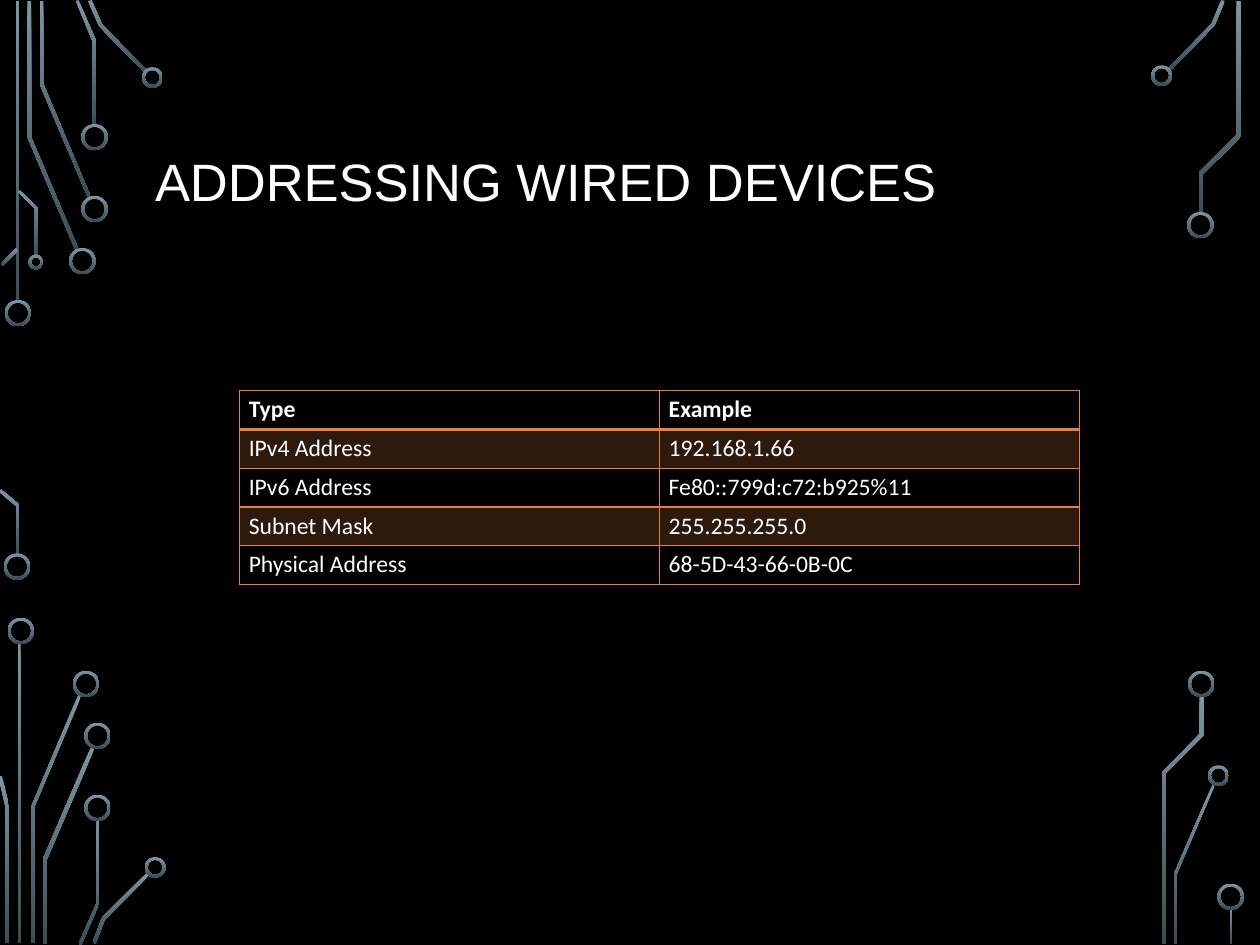
from dataclasses import dataclass

from lxml import etree
from pptx import Presentation
from pptx.dml.color import RGBColor
from pptx.enum.shapes import MSO_SHAPE
from pptx.enum.text import MSO_ANCHOR
from pptx.oxml.ns import qn
from pptx.util import Inches, Pt

RECTANGLE = MSO_SHAPE.RECTANGLE
DONUT = MSO_SHAPE.DONUT
MIDDLE = MSO_ANCHOR.MIDDLE


@dataclass(frozen=True)
class Theme:
    background: str = "000000"
    text: str = "FFFFFF"
    accent: str = "E78045"
    band_opacity: int = 20
    trace_top: str = "7C96A3"
    trace_bottom: str = "3B4C54"
    title_font: str = "Arial"
    table_font: str = "Calibri"
    title_size: int = 40
    table_size: int = 18
    thin_border: int = 1
    header_border: int = 2


SLIDE_WIDTH, SLIDE_HEIGHT = 13.32, 9.99
ROW_HEIGHT = 0.41
RING_THICKNESS = 0.03

# Ring diameter: centres
RINGS = {
    0.28: [(0.19, 3.31), (0.18, 5.99), (0.87, 2.76), (1, 2.21), (1, 1.45),
           (0.22, 6.67), (0.91, 7.23), (1.03, 7.78), (1.03, 8.54),
           (12.69, 2.38), (12.7, 7.23), (13.01, 9.48)],
    0.22: [(1.61, 0.82), (1.64, 9.17), (12.28, 0.8), (12.88, 8.2)],
    0.16: [(0.38, 2.77)],
}

# Left, top, width, height
STRAIGHT_TRACES = [
    (0.17, 0.01, 0.03, 3.18),
    (0.19, 6.79, 0.03, 3.18),
    (13, 9.61, 0.03, 0.37),
]

# Outline corners of each bent trace
BENT_TRACES = [
    # Top left
    [(0.8, 2.65), (0.29, 1.45), (0.29, 0.01), (0.33, 0.01), (0.33, 1.45), (0.83, 2.63)],
    [(0.93, 2.09), (0.42, 0.89), (0.42, 0.01), (0.46, 0.01), (0.46, 0.89), (0.96, 2.08)],
    [(1.02, 1.33), (0.98, 1.33), (0.98, 0.44), (0.8, 0.01), (0.83, 0), (1.02, 0.44)],
    [(1.53, 0.77), (1.05, 0.28), (0.93, 0.01), (0.97, 0), (1.08, 0.26), (1.55, 0.74)],
    [(0.03, 2.81), (0.01, 2.79), (0.17, 2.62), (0.19, 2.65)],
    [(0.4, 2.71), (0.37, 2.71), (0.37, 2.21), (0.19, 2.03), (0.21, 2.01), (0.4, 2.2)],
    # Bottom left
    [(0.2, 5.87), (0.17, 5.87), (0.17, 5.35), (-0.01, 5.2), (0.01, 5.17), (0.2, 5.33)],
    [(0.36, 9.97), (0.33, 9.97), (0.33, 8.53), (0.83, 7.34), (0.86, 7.36), (0.36, 8.54)],
    [(0.1, 9.97), (0.06, 9.97), (0.06, 8.54), (-0.02, 8.2), (0.02, 8.2), (0.1, 8.54)],
    [(0.49, 9.98), (0.45, 9.98), (0.45, 9.09), (0.96, 7.9), (1, 7.91), (0.49, 9.1)],
    [(0.86, 9.99), (0.83, 9.98), (1.02, 9.55), (1.02, 8.66), (1.05, 8.66), (1.05, 9.55)],
    [(1.01, 9.98), (0.98, 9.96), (1.08, 9.7), (1.56, 9.22), (1.58, 9.25), (1.11, 9.72)],
    # Top right
    [(12.37, 0.75), (12.34, 0.73), (12.81, 0.25), (12.91, 0), (12.95, 0.01), (12.84, 0.27)],
    [(12.71, 2.26), (12.67, 2.26), (12.67, 1.83), (13.07, 1.43), (13.07, 0.01),
     (13.12, 0.01), (13.12, 1.44), (12.71, 1.85)],
    # Bottom right
    [(12.44, 9.98), (12.41, 9.98), (12.41, 9.24), (12.82, 8.29), (12.84, 8.31), (12.44, 9.24)],
    [(12.32, 9.98), (12.28, 9.98), (12.28, 8.17), (12.68, 7.76), (12.68, 7.35),
     (12.73, 7.35), (12.73, 7.77), (12.32, 8.18)],
]

ADDRESSES = [
    ("Type", "Example"),
    ("IPv4 Address", "192.168.1.66"),
    ("IPv6 Address", "Fe80::799d:c72:b925%11"),
    ("Subnet Mask", "255.255.255.0"),
    ("Physical Address", "68-5D-43-66-0B-0C"),
]


class CircuitPage:
    def __init__(self, page, theme):
        self.page = page
        self.theme = theme
        fill = page.background.fill
        fill.solid()
        fill.fore_color.rgb = RGBColor.from_string(theme.background)

    def paint_trace(self, shape):
        """Give a circuit part its top-to-bottom gradient, without line or shadow."""
        shape.shadow.inherit = False
        shape.line.fill.background()
        shape.fill.gradient()
        shape.fill.gradient_angle = 270
        colors = (self.theme.trace_top, self.theme.trace_bottom)
        for stop, color in zip(shape.fill.gradient_stops, colors):
            stop.color.rgb = RGBColor.from_string(color)

    def add_straight_trace(self, bounds):
        shape = self.page.shapes.add_shape(RECTANGLE, *map(Inches, bounds))
        self.paint_trace(shape)

    def add_bent_trace(self, corners):
        points = [(Inches(x), Inches(y)) for x, y in corners]
        builder = self.page.shapes.build_freeform(*points[0], scale=1.0)
        builder.add_line_segments(points[1:], close=True)
        self.paint_trace(builder.convert_to_shape())

    def add_ring(self, center, diameter):
        x, y = center
        bounds = (x - diameter / 2, y - diameter / 2, diameter, diameter)
        ring = self.page.shapes.add_shape(DONUT, *map(Inches, bounds))
        ring.adjustments[0] = RING_THICKNESS / diameter
        self.paint_trace(ring)

    def add_span(self, para, text, **formats):
        span = para.add_run()
        span.text = text
        span.font.color.rgb = RGBColor.from_string(self.theme.text)
        for name, value in formats.items():
            setattr(span.font, name, value)

    def add_title(self, text, bounds):
        box = self.page.shapes.add_textbox(*map(Inches, bounds))
        frame = box.text_frame
        frame.word_wrap = True
        frame.vertical_anchor = MIDDLE
        para = frame.paragraphs[0]
        para.line_spacing = 0.9
        self.add_span(para, text, name=self.theme.title_font, size=Pt(self.theme.title_size))

    def fill_cell(self, cell, banded):
        if not banded:
            cell.fill.background()
            return
        cell.fill.solid()
        cell.fill.fore_color.rgb = RGBColor.from_string(self.theme.accent)
        color = next(cell._tc.tcPr.iter(qn("a:srgbClr")))
        etree.SubElement(color, qn("a:alpha"), val=str(self.theme.band_opacity * 1000))

    def border_cell(self, cell, widths):
        """Draw the borders, whose widths in points go by side: L, R, T, B."""
        for position, (side, width) in enumerate(widths.items()):
            line = etree.Element(qn(f"a:ln{side}"), w=str(Pt(width)))
            fill = etree.SubElement(line, qn("a:solidFill"))
            etree.SubElement(fill, qn("a:srgbClr"), val=self.theme.accent)
            cell._tc.get_or_add_tcPr().insert(position, line)

    def add_table(self, rows, left, top, width):
        theme = self.theme
        bounds = (left, top, width, ROW_HEIGHT * len(rows))
        table = self.page.shapes.add_table(
            len(rows), len(rows[0]), *map(Inches, bounds)).table
        table.horz_banding = False
        for row_number, texts in enumerate(rows):
            table.rows[row_number].height = Inches(ROW_HEIGHT)
            widths = dict.fromkeys("LRTB", theme.thin_border)
            if row_number < 2:
                widths["TB"[1 - row_number]] = theme.header_border
            for column_number, text in enumerate(texts):
                cell = table.cell(row_number, column_number)
                self.add_span(cell.text_frame.paragraphs[0], text, name=theme.table_font,
                              size=Pt(theme.table_size), bold=row_number == 0)
                self.fill_cell(cell, banded=row_number % 2 == 1)
                self.border_cell(cell, widths)


def main():
    deck = Presentation()
    deck.slide_width, deck.slide_height = Inches(SLIDE_WIDTH), Inches(SLIDE_HEIGHT)
    page = CircuitPage(deck.slides.add_slide(deck.slide_layouts[6]), Theme())
    for bounds in STRAIGHT_TRACES:
        page.add_straight_trace(bounds)
    for corners in BENT_TRACES:
        page.add_bent_trace(corners)
    for diameter, centers in RINGS.items():
        for center in centers:
            page.add_ring(center, diameter)
    page.add_title("ADDRESSING WIRED DEVICES", (1.54, 0.89, 11.32, 2.12))
    page.add_table(ADDRESSES, left=2.53, top=4.13, width=8.88)
    deck.save("out.pptx")


if __name__ == "__main__":
    main()
